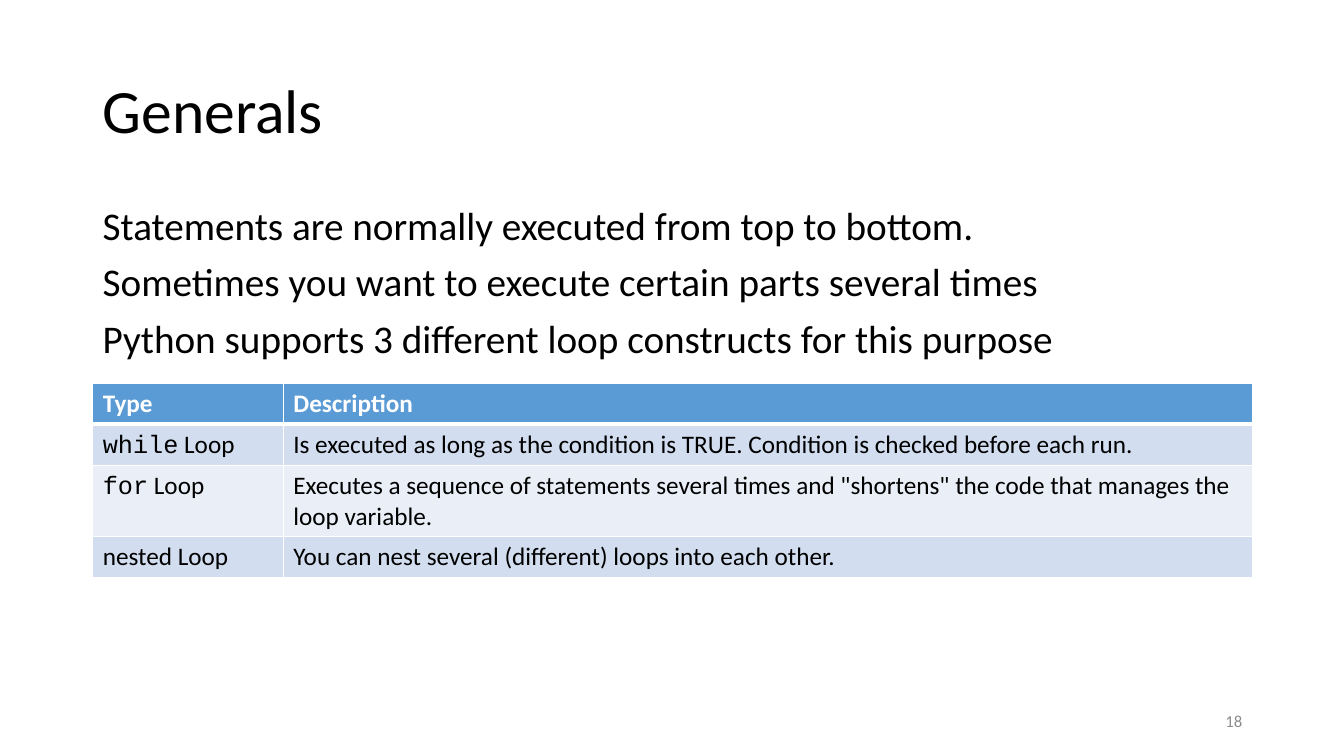
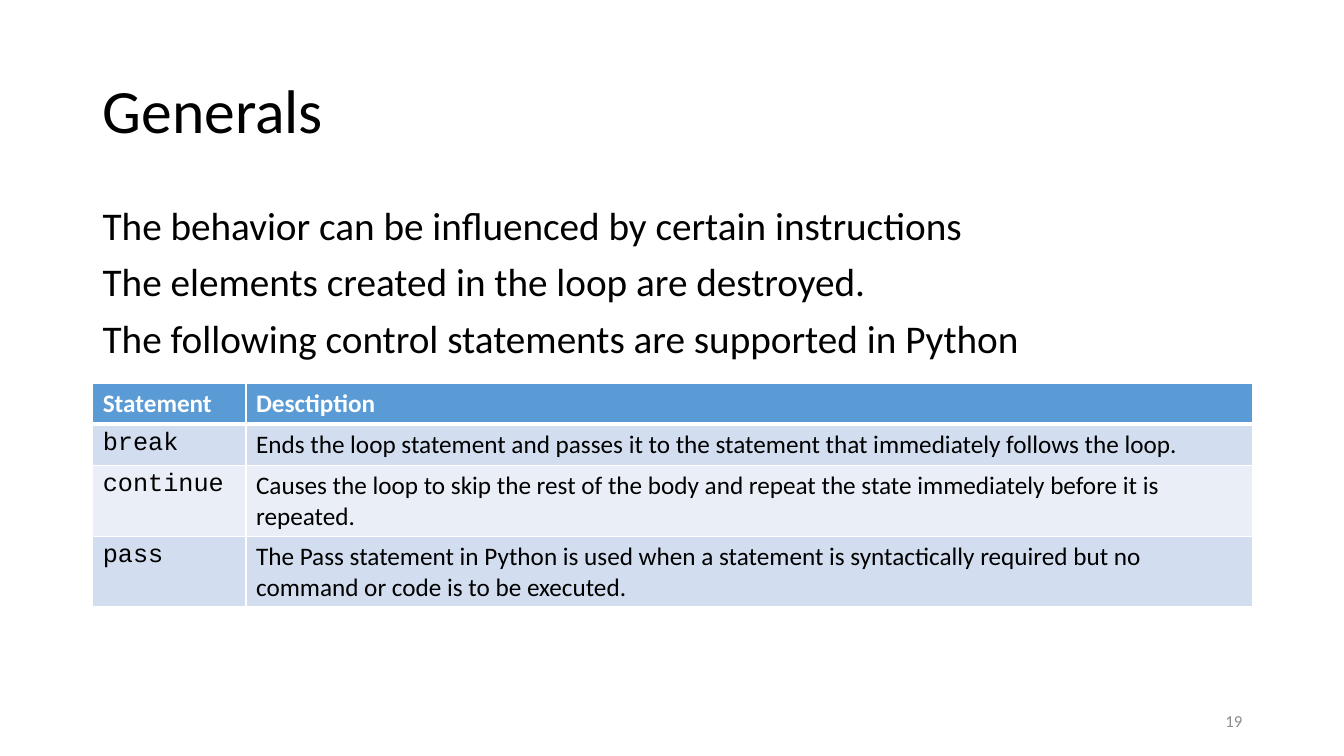
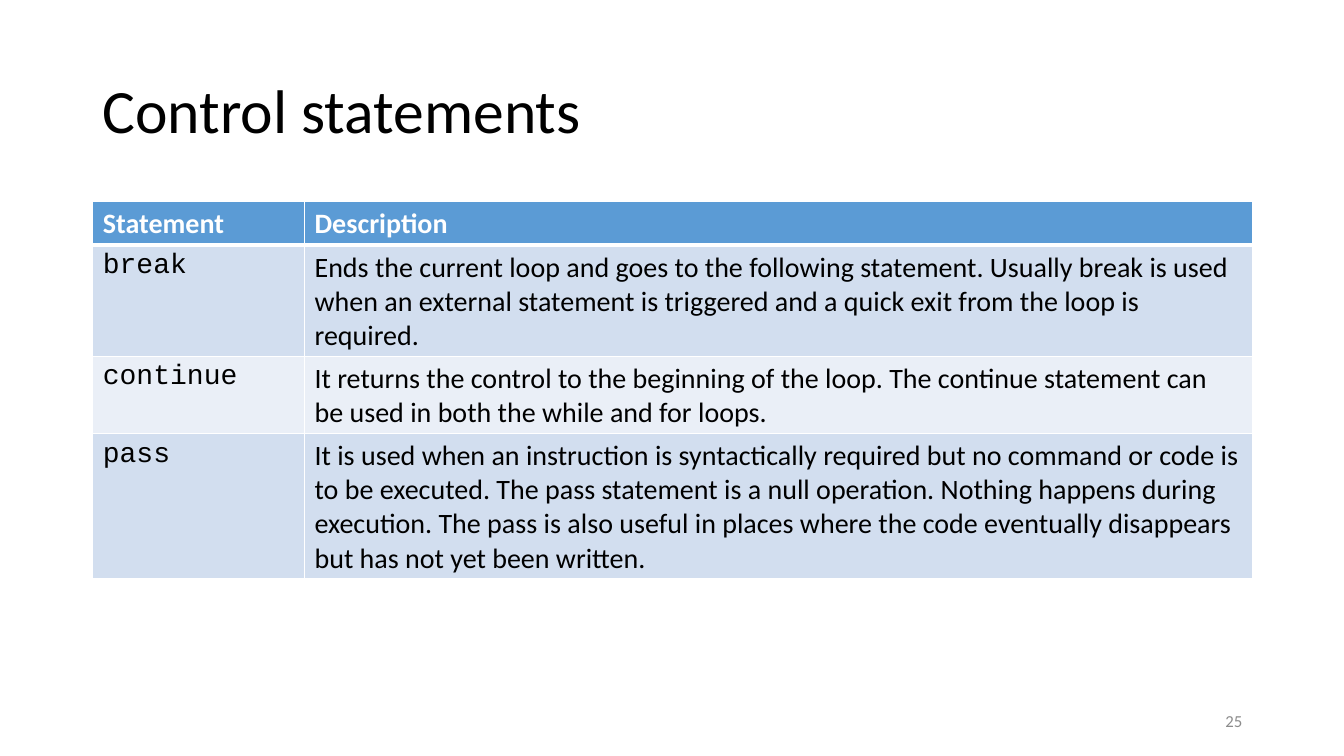
from lxml import etree
from pptx import Presentation, util as u
from pptx.dml.color import RGBColor
from pptx.enum import text
from pptx.oxml import ns

# Theme: colours, fonts and type sizes
theme = dict(
    ink="000000", white="FFFFFF", head="5B9BD5", bands=("D2DEEF", "EAEFF7"), grey="8C8C8C",
    sans="Calibri", mono="Courier New", title=44, body=28, foot=12,
)
# Grid: margins, rows and full content width
deck = Presentation()
deck.slide_width, deck.slide_height = u.Inches(13.33), u.Inches(7.5)
left, wide, top, row = 0.92, 11.5, 2, 0.41
middle, right = text.MSO_ANCHOR.MIDDLE, text.PP_ALIGN.RIGHT

# Contents: backticks mark code
pages = [
    dict(title="Generals", number="18", size=18, at=3.8, first=1.89, lines=[
        "Statements are normally executed from top to bottom.",
        "Sometimes you want to execute certain parts several times",
        "Python supports 3 different loop constructs for this purpose",
    ], rows=[
        ("Type", "Description"),
        ("`while` Loop", "Is executed as long as the condition is TRUE. "
         "Condition is checked before each run."),
        ("`for` Loop", "Executes a sequence of statements several times and "
         "\"shortens\" the code that manages the loop variable."),
        ("nested Loop", "You can nest several (different) loops into each other."),
    ]),
    dict(title="Generals", number="19", size=18, at=3.8, first=1.52, lines=[
        "The behavior can be influenced by certain instructions",
        "The elements created in the loop are destroyed.",
        "The following control statements are supported in Python",
    ], rows=[
        ("Statement", "Desctiption"),
        ("`break `", "Ends the loop statement and passes it to the statement "
         "that immediately follows the loop."),
        ("`continue`", "Causes the loop to skip the rest of the body and repeat "
         "the state immediately before it is repeated."),
        ("`pass`", "The Pass statement in Python is used when a statement is "
         "syntactically required but no command or code is to be executed."),
    ]),
    dict(title="Control statements", number="25", size=20, at=top, first=2.1, lines=[], rows=[
        ("Statement", "Description"),
        ("`break`", "Ends the current loop and goes to the following statement. "
         "Usually break is used when an external statement is triggered and "
         "a quick exit from the loop is required."),
        ("`continue`", "It returns the control to the beginning of the loop. "
         "The continue statement can be used in both the while and for loops."),
        ("`pass`", "It is used when an instruction is syntactically required but no "
         "command or code is to be executed. The pass statement is a null operation. "
         "Nothing happens during execution. The pass is also useful in places where "
         "the code eventually disappears but has not yet been written."),
    ]),
]


def write(frame, lines, size, color, bold=False, **style):
    """Fill a text frame; style holds paragraph attributes."""
    frame.word_wrap = True
    for i, line in enumerate(lines):
        para = frame.add_paragraph() if i else frame.paragraphs[0]
        for name, value in style.items():
            setattr(para, name, value)
        for j, part in enumerate(line.split("`")):
            if part:
                run = para.add_run()
                run.text = part
                face = theme["mono"] if j % 2 else theme["sans"]
                for name, value in dict(name=face, size=u.Pt(size), bold=bold).items():
                    setattr(run.font, name, value)
                run.font.color.rgb = RGBColor.from_string(color)


def edge(cell, side, width):
    """Draw one white border of a cell."""
    props = cell._tc.get_or_add_tcPr()
    line = etree.SubElement(props, ns.qn("a:ln" + side), w=str(u.Pt(width)))
    fill = etree.SubElement(line, ns.qn("a:solidFill"))
    etree.SubElement(fill, ns.qn("a:srgbClr"), val=theme["white"])


for page in pages:
    slide = deck.slides.add_slide(deck.slide_layouts[6])

    # Title, body and page number
    for box, lines, size, color, anchor, style in (
        ((left, 0.4, wide, 1.45), [page["title"]], theme["title"], theme["ink"],
         middle, dict(line_spacing=0.9)),
        ((left, top, wide, 4.76), page["lines"], theme["body"], theme["ink"],
         text.MSO_ANCHOR.TOP, dict(line_spacing=0.9, space_before=u.Pt(10))),
        ((left + wide - 3, 6.95, 3, 0.4), [page["number"]], theme["foot"], theme["grey"],
         middle, dict(alignment=right)),
    ):
        if lines:
            frame = slide.shapes.add_textbox(*map(u.Inches, box)).text_frame
            frame.vertical_anchor = anchor
            write(frame, lines, size, color, **style)

    # Table
    rows = page["rows"]
    place = left, page["at"], wide, row * len(rows)
    table = slide.shapes.add_table(len(rows), 2, *map(u.Inches, place)).table
    for col, width in zip(table.columns, (page["first"], wide - page["first"])):
        col.width = u.Inches(width)
    for r, words in enumerate(rows):
        head = r == 0
        table.rows[r].height = u.Inches(row)
        for c, word in enumerate(words):
            cell = table.cell(r, c)
            for side in "LRTB":
                edge(cell, side, 3 if (r, side) in ((0, "B"), (1, "T")) else 1)
            cell.fill.solid()
            shade = theme["head"] if head else theme["bands"][(r - 1) % 2]
            cell.fill.fore_color.rgb = RGBColor.from_string(shade)
            write(cell.text_frame, [word], page["size"],
                  theme["white"] if head else theme["ink"], head)

deck.save("out.pptx")
